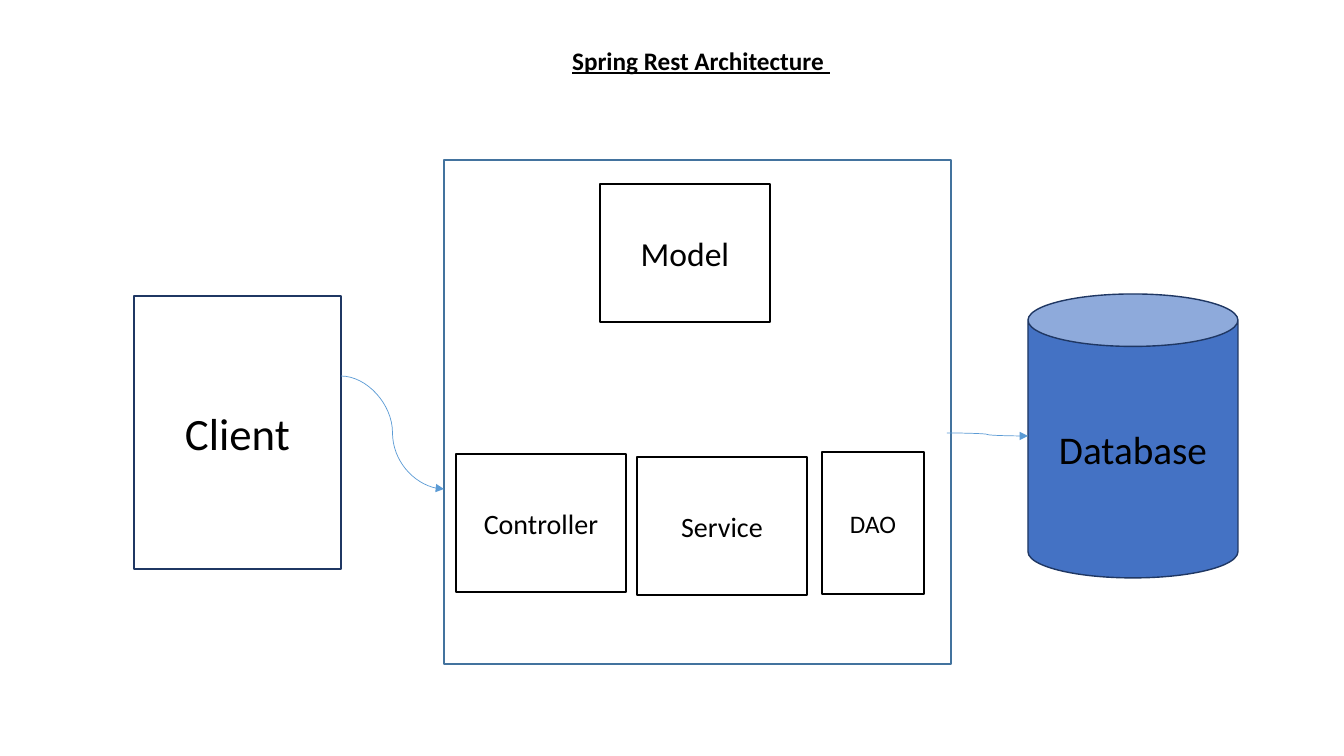
from lxml.etree import SubElement
from pptx import Presentation
from pptx.dml.color import RGBColor
from pptx.enum.shapes import MSO_CONNECTOR, MSO_SHAPE
from pptx.enum.text import MSO_ANCHOR, PP_ALIGN
from pptx.oxml.ns import qn
from pptx.util import Pt

EMU_PER_PX = 914400 / 100.8
SLIDE_SIZE = (1344, 756)
FONT = "Calibri"
COLORS = {
    "text": "000000",
    "box": "000000",
    "navy": "1F3763",
    "server": "43739E",
    "database": "4472C4",
    "arrow": "5B9BD5",
}

TITLE = ("Spring Rest Architecture ", (151, 40, 1100, 40), 18)
SHAPES = [
    ("Client", MSO_SHAPE.RECTANGLE, (134, 296, 207, 273), None, "navy", 32),
    ("", MSO_SHAPE.RECTANGLE, (444, 160, 507, 504), None, "server", 18),
    ("Model", MSO_SHAPE.RECTANGLE, (600, 184, 170, 138), None, "box", 24),
    ("Controller", MSO_SHAPE.RECTANGLE, (456, 454, 170, 138), None, "box", 20),
    ("Service", MSO_SHAPE.RECTANGLE, (637, 457, 170, 138), None, "box", 20),
    ("DAO", MSO_SHAPE.RECTANGLE, (822, 452, 102, 142), None, "box", 18),
    ("Database", MSO_SHAPE.CAN, (1028, 294, 210, 284), "database", "navy", 28),
]
ARROWS = [
    (341, 376, 444, 489),
    (947, 433, 1028, 436),
]


def px(*lengths):
    return [round(length * EMU_PER_PX) for length in lengths]


def color(name):
    return RGBColor.from_string(COLORS[name])


def write(frame, text, size):
    frame.word_wrap = True
    para = frame.paragraphs[0]
    para.text = text
    para.alignment = PP_ALIGN.CENTER
    para.font.name = FONT
    para.font.size = Pt(size)
    para.font.color.rgb = color("text")
    return para


def add_box(page, text, kind, place, fill, line, size):
    box = page.shapes.add_shape(kind, *px(*place))
    box.shadow.inherit = False
    if fill:
        box.fill.solid()
        box.fill.fore_color.rgb = color(fill)
    else:
        box.fill.background()
    box.line.color.rgb = color(line)
    box.line.width = Pt(1)
    if text:
        box.text_frame.vertical_anchor = MSO_ANCHOR.MIDDLE
        write(box.text_frame, text, size)


def add_arrow(page, ends):
    arrow = page.shapes.add_connector(MSO_CONNECTOR.CURVE, *px(*ends))
    arrow.line.color.rgb = color("arrow")
    arrow.line.width = Pt(0.5)
    SubElement(arrow.line._get_or_add_ln(), qn("a:tailEnd"), type="triangle")
    SubElement(arrow._element.spPr, qn("a:effectLst"))


def main():
    deck = Presentation()
    deck.slide_width, deck.slide_height = px(*SLIDE_SIZE)
    page = deck.slides.add_slide(deck.slide_layouts[6])
    for shape in SHAPES:
        add_box(page, *shape)
    for ends in ARROWS:
        add_arrow(page, ends)
    text, place, size = TITLE
    title = page.shapes.add_textbox(*px(*place))
    para = write(title.text_frame, text, size)
    para.font.bold = True
    para.font.underline = True
    deck.save("out.pptx")


if __name__ == "__main__":
    main()
